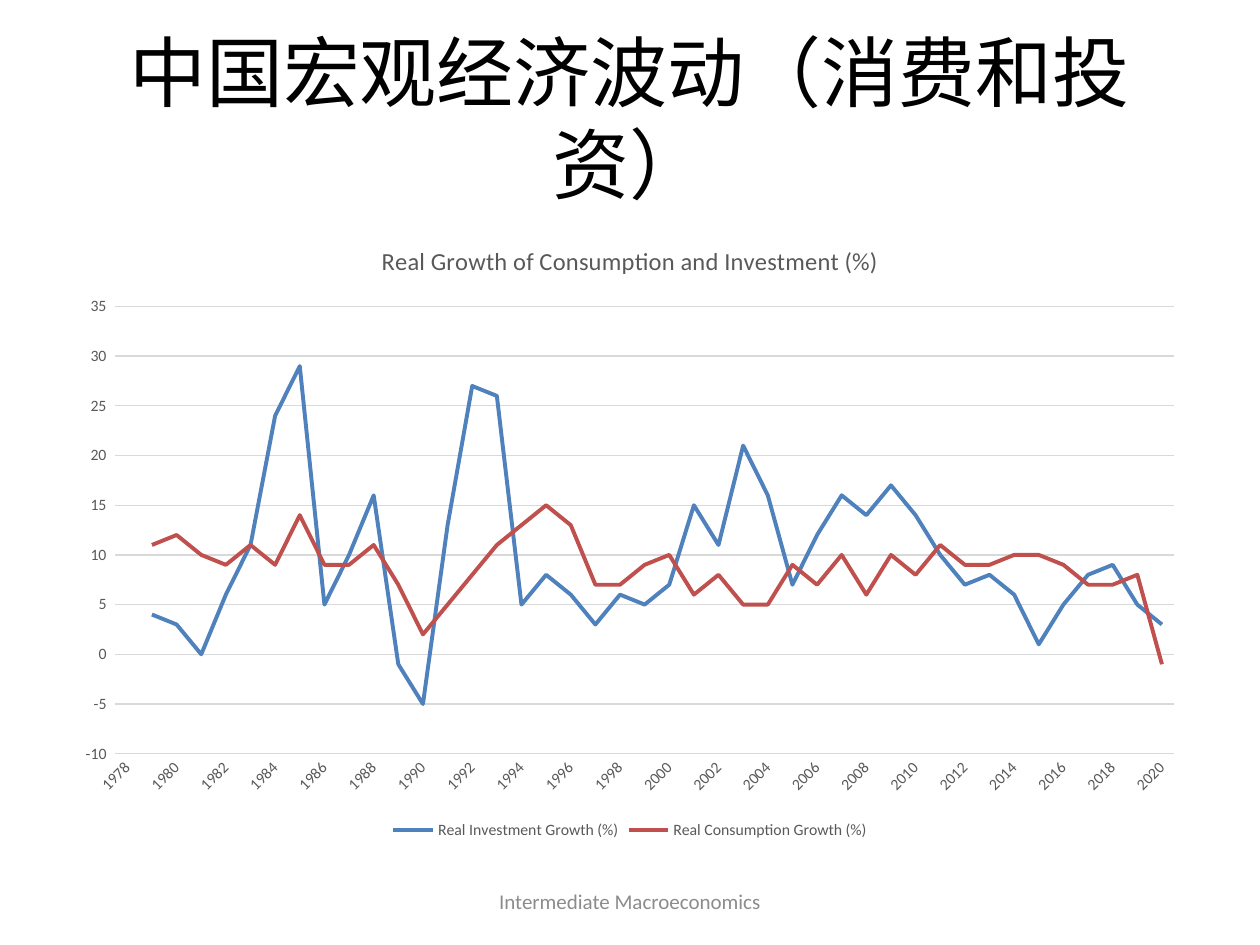
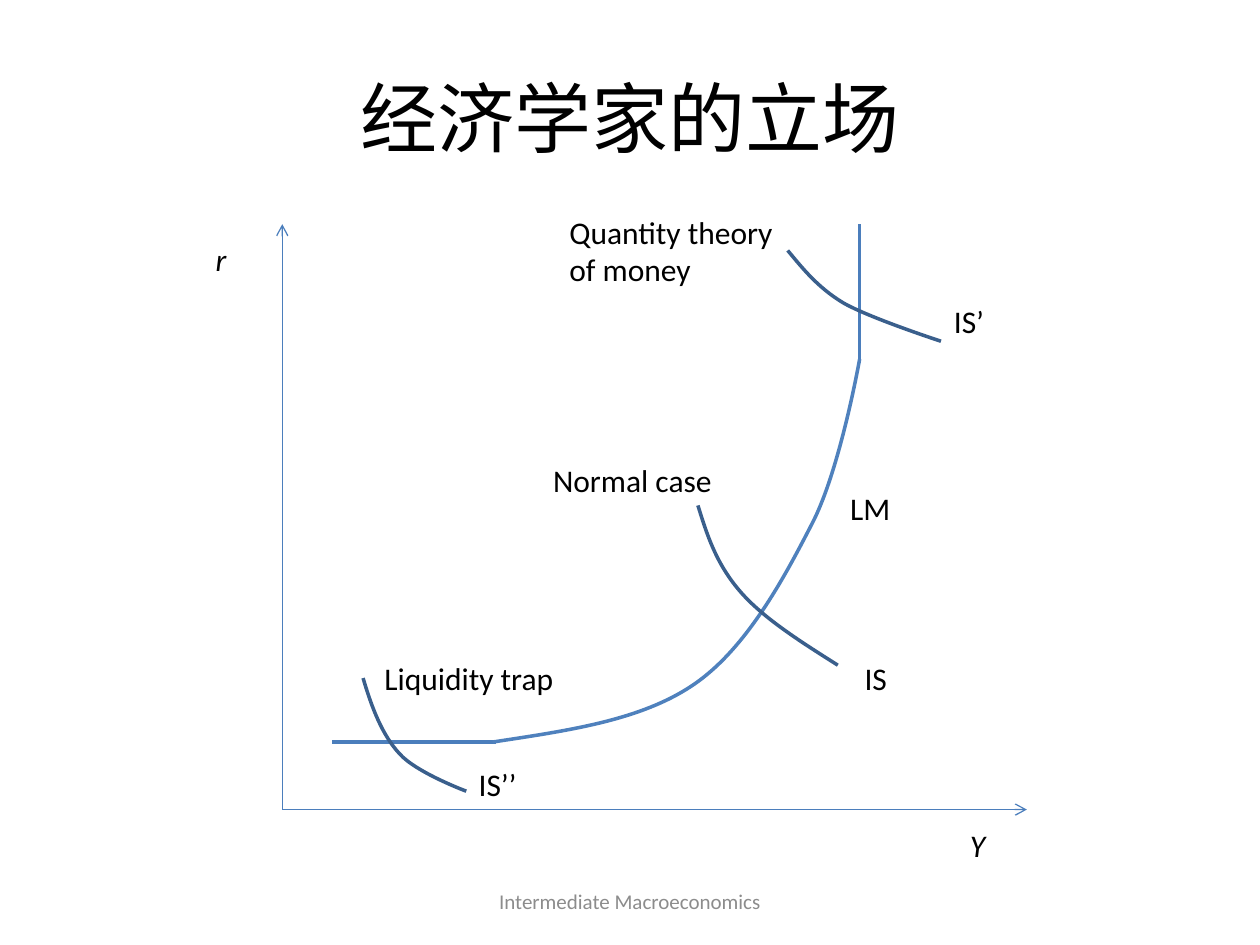
from lxml.etree import SubElement
from pptx import Presentation
from pptx.chart.data import CategoryChartData
from pptx.dml.color import RGBColor
from pptx.enum.chart import (XL_AXIS_CROSSES, XL_CHART_TYPE, XL_LEGEND_POSITION,
                             XL_TICK_LABEL_POSITION, XL_TICK_MARK)
from pptx.enum.shapes import MSO_CONNECTOR
from pptx.enum.text import MSO_ANCHOR, PP_ALIGN
from pptx.oxml.ns import qn
from pptx.util import Cm, Pt

FONT = "Calibri"
COLORS = {
    "text": "000000", "footer": "8C8C8C", "chart text": "595959", "grid": "D9D9D9",
    "investment": "4F81BD", "consumption": "C0504D",
    "axis": "4B7EBC", "LM": "4F81BD", "IS": "3A5F8C",
}


def color(name):
    return RGBColor.from_string(COLORS[name])


def add_text(text_frame, text, size, color_name, align=PP_ALIGN.LEFT, italic=None):
    text_frame.word_wrap = True
    paragraph = text_frame.paragraphs[0]
    paragraph.alignment = align
    run = paragraph.add_run()
    run.text = text
    run.font.name = FONT
    run.font.size = Pt(size)
    run.font.bold = False
    run.font.italic = italic
    run.font.color.rgb = color(color_name)


presentation = Presentation()
presentation.slide_width = Cm(25.4)
presentation.slide_height = Cm(19.05)

# Shared title and footer
slides = []
for title_text in ("中国宏观经济波动（消费和投资）", "经济学家的立场"):
    slide = presentation.slides.add_slide(presentation.slide_layouts[5])
    title = slide.shapes.title
    title.left, title.top, title.width, title.height = Cm(1.27), Cm(0.76), Cm(22.86), Cm(3.18)
    title.text_frame.vertical_anchor = MSO_ANCHOR.MIDDLE
    add_text(title.text_frame, title_text, 44, "text", PP_ALIGN.CENTER)
    footer = slide.shapes.add_textbox(Cm(8.68), Cm(17.65), Cm(8.04), Cm(1.02))
    footer.text_frame.vertical_anchor = MSO_ANCHOR.MIDDLE
    add_text(footer.text_frame, "Intermediate Macroeconomics", 12, "footer", PP_ALIGN.CENTER)
    slides.append(slide)
growth_slide, positions_slide = slides

# Growth chart; 1978 has no growth rate
investment = [None, 4, 3, 0, 6, 11, 24, 29, 5, 10, 16, -1, -5, 13, 27, 26, 5, 8, 6, 3, 6, 5,
              7, 15, 11, 21, 16, 7, 12, 16, 14, 17, 14, 10, 7, 8, 6, 1, 5, 8, 9, 5, 3]
consumption = [None, 11, 12, 10, 9, 11, 9, 14, 9, 9, 11, 7, 2, 5, 8, 11, 13, 15, 13, 7, 7, 9,
               10, 6, 8, 5, 5, 9, 7, 10, 6, 10, 8, 11, 9, 9, 10, 10, 9, 7, 7, 8, -1]
chart_data = CategoryChartData()
chart_data.categories = [str(year) for year in range(1978, 2021)]
chart_data.add_series("Real Investment Growth (%)", investment)
chart_data.add_series("Real Consumption Growth (%)", consumption)
chart = growth_slide.shapes.add_chart(
    XL_CHART_TYPE.LINE, Cm(1.27), Cm(4.45), Cm(22.86), Cm(12.57), chart_data).chart
chart.font.name = FONT
chart.font.size = Pt(10)
chart.has_title = True
add_text(chart.chart_title.text_frame, "Real Growth of Consumption and Investment (%)",
         14, "chart text", PP_ALIGN.CENTER)
chart.chart_title.include_in_layout = False
chart.has_legend = True
chart.legend.position = XL_LEGEND_POSITION.BOTTOM
chart.legend.include_in_layout = False

plot = chart.plots[0]
plot.vary_by_categories = False
for series, name in zip(plot.series, ("investment", "consumption")):
    series.smooth = False
    series.format.line.color.rgb = color(name)
    series.format.line.width = Pt(2.25)

# Chart axes: the years run along the bottom of the plot
years, growth = chart.category_axis, chart.value_axis
for axis in (years, growth):
    axis.major_tick_mark = axis.minor_tick_mark = XL_TICK_MARK.NONE
    axis.tick_label_position = XL_TICK_LABEL_POSITION.NEXT_TO_AXIS
for font in (years.tick_labels.font, growth.tick_labels.font, chart.legend.font):
    font.name = FONT
    font.size = Pt(9)
    font.bold = False
    font.color.rgb = color("chart text")
years._element.find(qn("c:txPr")).find(qn("a:bodyPr")).set("rot", "-2700000")
growth.crosses = XL_AXIS_CROSSES.MINIMUM
growth.minimum_scale, growth.maximum_scale, growth.major_unit = -10, 35, 5
growth.tick_labels.number_format = "0_ "
growth.tick_labels.number_format_is_linked = False
growth.format.line.fill.background()
for line in (years.format.line, growth.major_gridlines.format.line):
    line.color.rgb = color("grid")
    line.width = Pt(0.75)

# Axes and the straight ends of the LM curve: start, end, width, arrow
straight_lines = [
    ((5.69, 16.32), (20.7, 16.32), 0.75, True),
    ((5.69, 16.32), (5.69, 4.52), 0.75, True),
    ((6.7, 14.96), (10, 14.96), 2, False),
    ((17.33, 4.52), (17.33, 7.32), 2, False),
]
for start, end, width, has_arrow in straight_lines:
    connector = positions_slide.shapes.add_connector(
        MSO_CONNECTOR.STRAIGHT, *(Cm(value) for value in start + end))
    connector.line.color.rgb = color("axis")
    connector.line.width = Pt(width)
    properties = connector._element.spPr
    if has_arrow:
        SubElement(properties.find(qn("a:ln")), qn("a:tailEnd"), type="arrow")
    SubElement(properties, qn("a:effectLst"))

# Curves: each is a start point followed by three Bézier points per segment
curves = [
    ("LM", [(9.93, 14.96), (11.43, 14.73), (12.93, 14.53), (14, 13.79), (15.06, 13.06),
            (15.82, 11.63), (16.38, 10.54), (16.94, 9.45), (17.33, 7.24), (17.33, 7.24)]),
    ("IS", [(15.88, 5.05), (16.18, 5.41), (16.48, 5.79), (16.99, 6.1),
            (17.5, 6.4), (18.97, 6.88), (18.97, 6.88)]),
    ("IS", [(14.07, 10.19), (14.25, 10.77), (14.43, 11.35), (14.91, 11.91),
            (15.37, 12.45), (16.13, 12.93), (16.89, 13.41)]),
    ("IS", [(7.32, 13.67), (7.49, 14.25), (7.7, 14.81), (8.05, 15.19),
            (8.38, 15.57), (9.4, 15.95), (9.4, 15.95)]),
]
for name, controls in curves:
    start, *others = [(Cm(x), Cm(y)) for x, y in controls]
    builder = positions_slide.shapes.build_freeform(*start)
    builder.add_line_segments(others, close=False)
    shape = builder.convert_to_shape()
    shape.shadow.inherit = False
    shape.fill.background()
    shape.line.color.rgb = color(name)
    shape.line.width = Pt(2)
    # Turn every three line segments into one Bézier segment
    segments = list(shape._element.iter(qn("a:lnTo")))
    outline = segments[0].getparent()
    for index, segment in enumerate(segments):
        if index % 3 == 0:
            bezier = SubElement(outline, qn("a:cubicBezTo"))
        bezier.append(segment[0])
        outline.remove(segment)

# Labels: text, left, top, width, height, italic
labels = [
    ("LM", 16.89, 9.73, 1.4, 1.02, None),
    ("IS’", 18.98, 5.97, 1.2, 1.02, None),
    ("IS", 17.18, 13.16, 1.12, 1.02, None),
    ("IS’’", 9.4, 15.29, 1.5, 1.02, None),
    ("Quantity theory of money", 11.23, 4.16, 4.8, 1.8, None),
    ("Liquidity trap", 7.5, 13.16, 4.39, 1.02, None),
    ("Normal case", 10.9, 9.16, 3.81, 1.02, None),
    ("r", 4.1, 4.72, 1.19, 1.02, True),
    ("Y", 19.3, 16.53, 1.4, 1.02, True),
]
for text, left, top, width, height, italic in labels:
    label = positions_slide.shapes.add_textbox(Cm(left), Cm(top), Cm(width), Cm(height))
    add_text(label.text_frame, text, 18, "text", italic=italic)

presentation.save("out.pptx")
